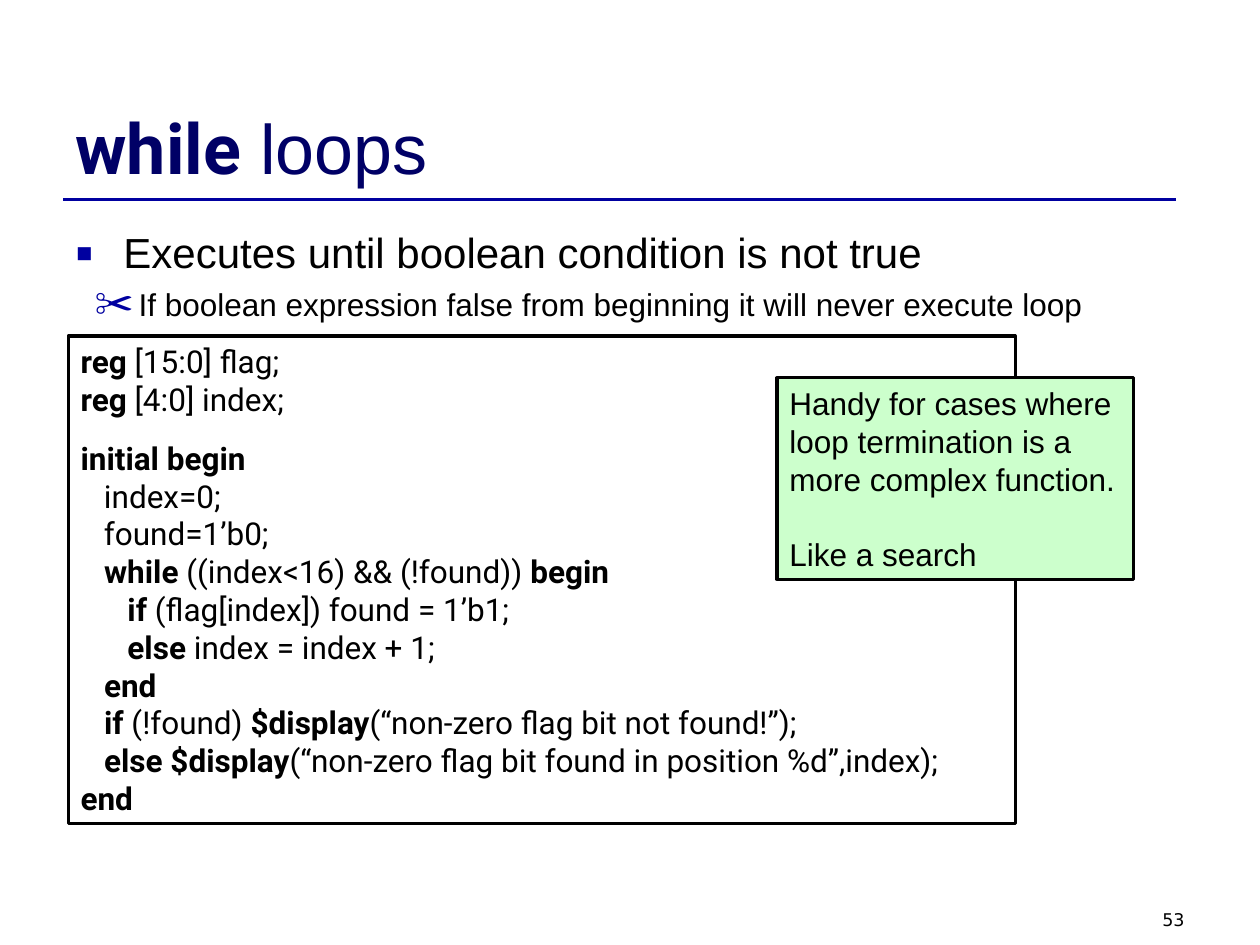
from typing import NamedTuple, Optional

from lxml import etree
from pptx import Presentation
from pptx import util as u
from pptx.dml.color import RGBColor
from pptx.enum import shapes, text
from pptx.oxml import ns

BLACK = RGBColor(0x00, 0x00, 0x00)
NAVY = RGBColor(0x00, 0x00, 0x66)
BLUE = RGBColor(0x00, 0x00, 0xA0)
PALE_GREEN = RGBColor(0xCC, 0xFF, 0xCC)

SLIDE_WIDTH, SLIDE_HEIGHT = u.Inches(10), u.Inches(7.5)
COLUMN = SLIDE_WIDTH // 60
ROW = SLIDE_HEIGHT // 45


class Area(NamedTuple):
    column: float
    row: float
    columns: float
    rows: float

    def lengths(self):
        return (round(self.column * COLUMN), round(self.row * ROW),
                round(self.columns * COLUMN), round(self.rows * ROW))


class Line(NamedTuple):
    text: str
    before: float = 0


class Bullet(NamedTuple):
    text: str
    level: int
    size: float
    before: float
    character: str
    margin: float
    hanging: float


class Panel(NamedTuple):
    area: Area
    fill: Optional[RGBColor]
    font: str
    lines: list


BULLETS = [
    Bullet("Executes until boolean condition is not true",
           0, 24, 0, "▪", 0.38, 0.38),
    Bullet("If boolean expression false from beginning it will never execute loop",
           1, 18, 4.5, "✂", 0.5, 0.35),
]

CODE = Panel(Area(3.25, 16, 45.1, 23.2), None, "Roboto", [
    Line("*reg* [15:0] flag;"),
    Line("*reg* [4:0] index;"),
    Line("*initial begin*", 12),
    Line("   index=0;"),
    Line("   found=1’b0;"),
    Line("   *while* ((index<16) && (!found)) *begin*"),
    Line("      *if* (flag[index]) found = 1’b1;"),
    Line("      *else* index = index + 1;"),
    Line("   *end*"),
    Line("   *if* (!found) *$display*(“non-zero flag bit not found!”);"),
    Line("   *else $display*(“non-zero flag bit found in position %d”,index);"),
    Line("*end*"),
])

NOTE = Panel(Area(37, 18, 17, 9.6), PALE_GREEN, "Arial", [
    Line("Handy for cases where loop termination is a more complex function."),
    Line("Like a search", 21.5),
])


def write(paragraph, content: str, *, size: float, font: str = "Arial",
          color: RGBColor = BLACK, before: float = 0,
          align=text.PP_ALIGN.LEFT) -> None:
    paragraph.alignment = align
    paragraph.space_before = u.Pt(before)
    for position, part in enumerate(content.split("*")):
        if part:
            run = paragraph.add_run()
            run.text = part
            run.font.name = font
            run.font.size = u.Pt(size)
            run.font.bold = position % 2 == 1
            run.font.color.rgb = color


def place(shape, area: Area, anchor=text.MSO_ANCHOR.TOP):
    shape.left, shape.top, shape.width, shape.height = area.lengths()
    frame = shape.text_frame
    frame.word_wrap = True
    frame.auto_size = text.MSO_AUTO_SIZE.NONE
    frame.vertical_anchor = anchor
    return frame


def paragraphs(frame, count: int) -> list:
    return [frame.paragraphs[0]] + [frame.add_paragraph() for _ in range(count - 1)]


def add_bullet(paragraph, bullet: Bullet) -> None:
    properties = paragraph._p.get_or_add_pPr()
    properties.set("marL", str(u.Inches(bullet.margin)))
    properties.set("indent", str(-u.Inches(bullet.hanging)))
    color = etree.SubElement(properties, ns.qn("a:buClr"))
    etree.SubElement(color, ns.qn("a:srgbClr"), val=str(BLUE))
    etree.SubElement(properties, ns.qn("a:buSzPct"), val="125000")
    etree.SubElement(properties, ns.qn("a:buFont"), typeface="Arial")
    etree.SubElement(properties, ns.qn("a:buChar"), char=bullet.character)


def add_panel(slide, panel: Panel) -> None:
    shape = slide.shapes.add_shape(
        shapes.MSO_SHAPE.RECTANGLE, *panel.area.lengths())
    shape.shadow.inherit = False
    if panel.fill is None:
        shape.fill.background()
    else:
        shape.fill.solid()
        shape.fill.fore_color.rgb = panel.fill
    shape.line.color.rgb = BLACK
    shape.line.width = u.Pt(1.75)
    frame = place(shape, panel.area)
    for paragraph, line in zip(paragraphs(frame, len(panel.lines)), panel.lines):
        write(paragraph, line.text, size=18, font=panel.font, before=line.before)


def add_rule(slide, start: float, end: float, row: float) -> None:
    height = round(row * ROW)
    rule = slide.shapes.add_connector(
        shapes.MSO_CONNECTOR.STRAIGHT,
        round(start * COLUMN), height, round(end * COLUMN), height)
    rule.line.color.rgb = BLUE
    rule.line.width = u.Pt(1.5)
    etree.SubElement(rule._element.spPr, ns.qn("a:effectLst"))


def add_title(slide) -> None:
    frame = place(slide.shapes.title, Area(3, 1.8, 54, 7.5), text.MSO_ANCHOR.BOTTOM)
    paragraph = frame.paragraphs[0]
    write(paragraph, "*while*", size=40, font="Roboto", color=NAVY)
    write(paragraph, " loops", size=40, color=NAVY)


def add_body(slide) -> None:
    frame = place(slide.placeholders[1], Area(3, 10.5, 54, 6.5))
    for paragraph, bullet in zip(paragraphs(frame, len(BULLETS)), BULLETS):
        paragraph.level = bullet.level
        add_bullet(paragraph, bullet)
        write(paragraph, bullet.text, size=bullet.size, before=bullet.before)


def add_page_number(slide) -> None:
    area = Area(43, 43, 14, 1.5)
    frame = place(slide.shapes.add_textbox(*area.lengths()), area)
    write(frame.paragraphs[0], "53", size=10, font="DejaVu Sans",
          align=text.PP_ALIGN.RIGHT)


def main() -> None:
    presentation = Presentation()
    presentation.slide_width, presentation.slide_height = SLIDE_WIDTH, SLIDE_HEIGHT
    slide = presentation.slides.add_slide(presentation.slide_layouts[1])
    add_rule(slide, 3, 56, 9.5)
    add_page_number(slide)
    add_title(slide)
    add_body(slide)
    add_panel(slide, CODE)
    add_panel(slide, NOTE)
    presentation.save("out.pptx")


if __name__ == "__main__":
    main()
